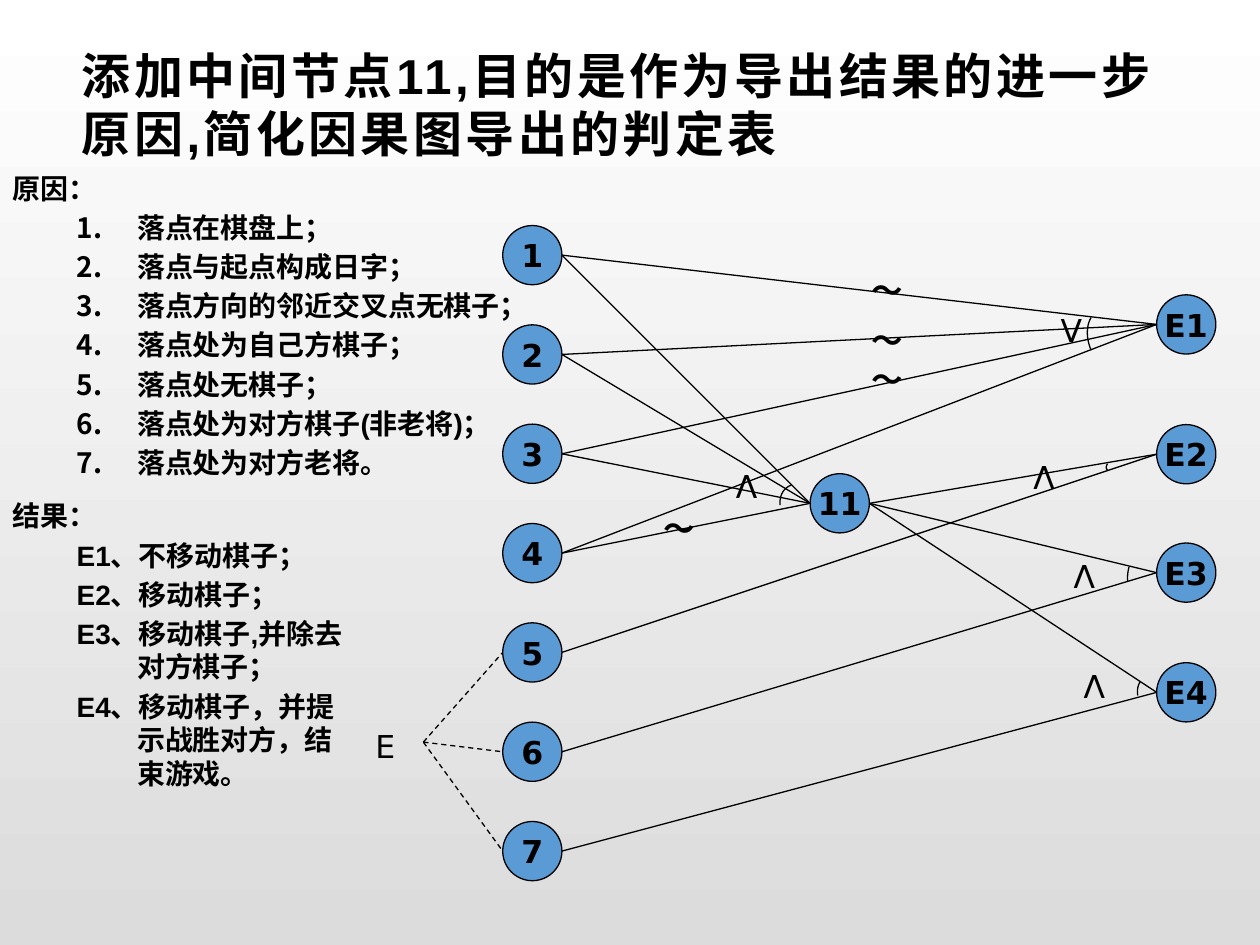
from collections import namedtuple

from lxml import etree
from pptx import Presentation
from pptx.dml.color import RGBColor
from pptx.enum import dml, shapes, text
from pptx.oxml.ns import qn
from pptx.util import Inches, Pt

BLACK = RGBColor(0x00, 0x00, 0x00)
NODE_BLUE = RGBColor(0x5B, 0x9B, 0xD5)
BACKDROP = RGBColor(0xFF, 0xFF, 0xFF), RGBColor(0xDC, 0xDC, 0xDC)

TITLE_FONT = {"name": "Arial", "size": Pt(28), "bold": True}
LIST_FONT = {"name": "Arial", "size": Pt(16), "bold": True}
NODE_FONT = {"name": "DejaVu Sans", "size": Pt(18), "bold": True}
OPERATOR_FONT = {**NODE_FONT, "bold": False}

CAUSES = ["落点在棋盘上；", "落点与起点构成日字；", "落点方向的邻近交叉点无棋子；",
          "落点处为自己方棋子；", "落点处无棋子；", "落点处为对方棋子(非老将)；",
          "落点处为对方老将。"]
EFFECTS = ["E1、不移动棋子；", "E2、移动棋子；", "E3、移动棋子,并除去对方棋子；",
           "E4、移动棋子，并提示战胜对方，结束游戏。"]

NODE_SIZE = 0.47
EDGES = {"1": ["E1", "11"], "2": ["E1", "11"], "3": ["E1", "11"],
         "4": ["E1", "11"], "5": ["E2"], "6": ["E3"], "7": ["E4"],
         "11": ["E2", "E3", "E4"]}
EXCLUSIVE_CAUSES = ["5", "6", "7"]

# Positions below are inches from the top left corner of the graph.
CAUSE_X, CAUSE_TOP, CAUSE_BOTTOM = 1.19, 0.09, 4.82
EFFECT_X, EFFECT_TOPS = 6.38, [0.64, 1.67, 2.61, 3.56]
MIDDLE_NODE = (3.63, 2.06)
EXCLUSION_TIP = (0.56, 4.19)
EXCLUSION_LABEL = (0.08, 4.02)
NOT_SIGNS = [(4.02, 0.4), (4.02, 0.8), (4.02, 1.11), (2.37, 2.29)]
OR_SIGN = (5.52, 0.72)
AND_SIGNS = [(2.92, 1.97), (5.28, 1.9), (5.6, 2.69), (5.68, 3.56)]
ARCS = [  # start, middle, end
    [(5.86, 0.82), (5.83, 0.94), (5.86, 1.08)],
    [(5.99, 1.98), (5.98, 2.01), (5.99, 2.03)],
    [(3.48, 2.15), (3.41, 2.21), (3.39, 2.31)],
    [(6.16, 2.8), (6.15, 2.86), (6.15, 2.91)],
    [(6.25, 3.71), (6.23, 3.76), (6.23, 3.82)],
]

Box = namedtuple("Box", "left top width height")


def inside(box, point):
    return Inches(box.left + point[0]), Inches(box.top + point[1])


def style_font(font, formats):
    for name, value in formats.items():
        setattr(font, name, value)
    font.color.rgb = BLACK


def style_line(line):
    line.color.rgb = BLACK
    line.width = Pt(0.75)


def add_text_box(slide, box):
    frame_box = slide.shapes.add_textbox(*map(Inches, box))
    frame_box.text_frame.word_wrap = True
    return frame_box


def add_title(slide, box, wording):
    frame = add_text_box(slide, box).text_frame
    frame.vertical_anchor = text.MSO_ANCHOR.MIDDLE
    run = frame.paragraphs[0].add_run()
    run.text = wording
    style_font(run.font, TITLE_FONT)
    run.font._element.set("spc", "200")


def add_list(slide, box, heading, items, numbered=False):
    frame = add_text_box(slide, box).text_frame
    for row, wording in enumerate([heading, *items]):
        paragraph = frame.add_paragraph() if row else frame.paragraphs[0]
        margin, indent = (0.99, -0.48) if row else (0.54, -0.54)
        properties = paragraph._p.get_or_add_pPr()
        properties.set("marL", str(Inches(margin)))
        properties.set("indent", str(Inches(indent)))
        if row:
            paragraph.level = 1
            paragraph.space_before = Pt(3.2)
            if numbered:
                etree.SubElement(properties, qn("a:buAutoNum"), type="arabicPeriod")
        run = paragraph.add_run()
        run.text = wording
        style_font(run.font, LIST_FONT)


def add_node(slide, box, corner, label):
    node = slide.shapes.add_shape(
        shapes.MSO_SHAPE.OVAL, *inside(box, corner), *[Inches(NODE_SIZE)] * 2)
    node.shadow.inherit = False
    node.fill.solid()
    node.fill.fore_color.rgb = NODE_BLUE
    style_line(node.line)
    frame = node.text_frame
    frame.word_wrap = False
    frame.vertical_anchor = text.MSO_ANCHOR.MIDDLE
    paragraph = frame.paragraphs[0]
    paragraph.alignment = text.PP_ALIGN.CENTER
    run = paragraph.add_run()
    run.text = label
    style_font(run.font, NODE_FONT)


def add_edge(slide, box, start, end, dashed=False):
    edge = slide.shapes.add_connector(
        shapes.MSO_CONNECTOR.STRAIGHT, *inside(box, start), *inside(box, end))
    style_line(edge.line)
    if dashed:
        edge.line.dash_style = dml.MSO_LINE.DASH
    etree.SubElement(edge._element.spPr, qn("a:effectLst"))


def add_sign(slide, box, corner, sign, font, rotation=0):
    sign_box = add_text_box(
        slide, Box(box.left + corner[0], box.top + corner[1], 0.39, 0.4))
    sign_box.rotation = rotation
    run = sign_box.text_frame.paragraphs[0].add_run()
    run.text = sign
    style_font(run.font, font)


def add_arc(slide, box, start, middle, end, steps=12):
    """Draw an open quadratic curve through three points."""
    def point(t):
        weights = (1 - t) * (1 - 2 * t), 4 * t * (1 - t), t * (2 * t - 1)
        return inside(box, [sum(w * v for w, v in zip(weights, axis))
                            for axis in zip(start, middle, end)])

    builder = slide.shapes.build_freeform(*point(0))
    builder.add_line_segments(
        [point(step / steps) for step in range(1, steps + 1)], close=False)
    arc = builder.convert_to_shape()
    arc.shadow.inherit = False
    arc.fill.background()
    style_line(arc.line)


def add_cause_effect_graph(slide, box):
    pitch = (CAUSE_BOTTOM - CAUSE_TOP) / (len(CAUSES) - 1)
    corners = {str(i + 1): (CAUSE_X, CAUSE_TOP + i * pitch)
               for i in range(len(CAUSES))}
    corners.update({f"E{i}": (EFFECT_X, y) for i, y in enumerate(EFFECT_TOPS, 1)})
    corners["11"] = MIDDLE_NODE
    entry = {label: (x, y + NODE_SIZE / 2) for label, (x, y) in corners.items()}

    for label, corner in corners.items():
        add_node(slide, box, corner, label)
    for source, targets in EDGES.items():
        x, y = entry[source]
        for target in targets:
            add_edge(slide, box, (x + NODE_SIZE, y), entry[target])
    for cause in EXCLUSIVE_CAUSES:
        add_edge(slide, box, EXCLUSION_TIP, entry[cause], dashed=True)
    for arc in ARCS:
        add_arc(slide, box, *arc)
    for corner in NOT_SIGNS:
        add_sign(slide, box, corner, "～", NODE_FONT)
    for corner in AND_SIGNS:
        add_sign(slide, box, corner, "V", OPERATOR_FONT, rotation=180)
    add_sign(slide, box, OR_SIGN, "V", OPERATOR_FONT)
    add_sign(slide, box, EXCLUSION_LABEL, "E", OPERATOR_FONT)


def paint_background(slide):
    fill = slide.background.fill
    fill.gradient()
    fill.gradient_angle = 270
    for stop, color in zip(fill.gradient_stops, BACKDROP):
        stop.color.rgb = color


def main():
    deck = Presentation()
    deck.slide_width, deck.slide_height = Inches(10), Inches(7.5)
    slide = deck.slides.add_slide(deck.slide_layouts[6])
    paint_background(slide)
    add_title(slide, Box(0.55, 0.47, 8.9, 0.71),
              "添加中间节点11,目的是作为导出结果的进一步原因,简化因果图导出的判定表")
    add_cause_effect_graph(slide, Box(2.8, 1.7, 6.85, 5.29))
    add_list(slide, Box(0, 1.31, 5.31, 4.83), "原因：", CAUSES, numbered=True)
    add_list(slide, Box(0, 3.91, 2.89, 3.31), "结果：", EFFECTS)
    deck.save("out.pptx")


if __name__ == "__main__":
    main()
